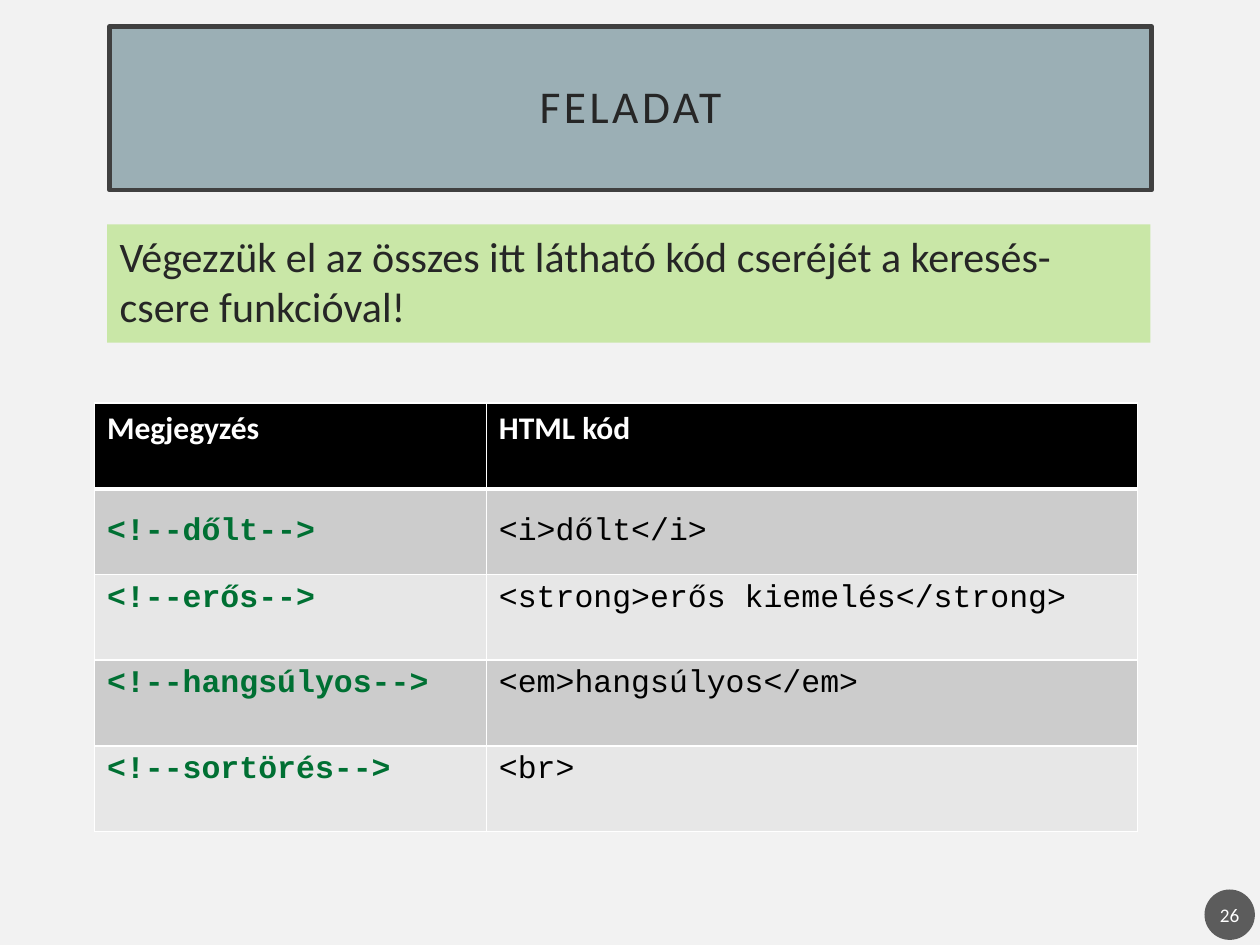
from lxml import etree
from pptx import Presentation
from pptx import util as u
from pptx.dml.color import RGBColor
from pptx.enum import shapes, text
from pptx.oxml.ns import qn

BACKGROUND = RGBColor(0xF2, 0xF2, 0xF2)
TITLE_FILL = RGBColor(0x9B, 0xAF, 0xB5)
TITLE_LINE = RGBColor(0x40, 0x40, 0x40)
INK = RGBColor(0x26, 0x26, 0x26)
TASK_FILL = RGBColor(0xC9, 0xE7, 0xA7)
BADGE_FILL = RGBColor(0x1D, 0x1D, 0x1D)
BLACK = RGBColor(0, 0, 0)
WHITE = RGBColor(0xFF, 0xFF, 0xFF)
CODE_GREEN = RGBColor(0x00, 0x70, 0x33)
BANDS = (RGBColor(0xCC, 0xCC, 0xCC), RGBColor(0xE7, 0xE7, 0xE7))

ROWS = [
    ("Megjegyzés", "HTML kód"),
    ("<!--dőlt-->", "<i>dőlt</i>"),
    ("<!--erős-->", "<strong>erős kiemelés</strong>"),
    ("<!--hangsúlyos-->", "<em>hangsúlyos</em>"),
    ("<!--sortörés-->", "<br>"),
]


class SlideBuilder:
    font = "Calibri"
    code_font = "Courier New"

    def __init__(self, prs):
        self.s = prs.slides.add_slide(prs.slide_layouts[1])
        self.s.background.fill.solid()
        self.s.background.fill.fore_color.rgb = BACKGROUND

    def place(self, sp, box, fill):
        sp.left, sp.top, sp.width, sp.height = (u.Inches(v) for v in box)
        sp.fill.solid()
        sp.fill.fore_color.rgb = fill

    def set_text(self, tf, words, size, color, bold=False, font=None, align=None):
        tf.text = words
        p = tf.paragraphs[0]
        p.alignment = align
        r = p.runs[0]
        r.font.name = font or self.font
        r.font.size = u.Pt(size)
        r.font.bold = bold
        r.font.color.rgb = color
        return p

    def title(self, words, box):
        sp = self.s.shapes.title
        self.place(sp, box, TITLE_FILL)
        sp.line.color.rgb = TITLE_LINE
        sp.line.width = u.Pt(2.5)
        tf = sp.text_frame
        tf.auto_size = text.MSO_AUTO_SIZE.NONE
        tf.vertical_anchor = text.MSO_ANCHOR.MIDDLE
        tf.margin_left = tf.margin_right = u.Inches(0.2)
        tf.margin_top = tf.margin_bottom = u.Inches(0.2)
        p = self.set_text(tf, words, 26, INK, align=text.PP_ALIGN.CENTER)
        p.line_spacing = 0.9
        p.runs[0]._r.get_or_add_rPr().set("spc", "200")

    def body(self, words, box):
        sp = self.s.placeholders[1]
        self.place(sp, box, TASK_FILL)
        tf = sp.text_frame
        tf.auto_size = text.MSO_AUTO_SIZE.NONE
        p = self.set_text(tf, words, 24, INK, align=text.PP_ALIGN.LEFT)
        p.space_before = u.Pt(10)
        # No bullet and no hanging indent
        pPr = p._p.get_or_add_pPr()
        pPr.set("marL", "0")
        pPr.set("indent", "0")
        etree.SubElement(pPr, qn("a:buNone"))

    def badge(self, words, box):
        sp = self.s.shapes.add_shape(
            shapes.MSO_SHAPE.OVAL, *(u.Inches(v) for v in box))
        self.place(sp, box, BADGE_FILL)
        sp.shadow.inherit = False
        sp.line.fill.background()
        color = sp._element.spPr.find(qn("a:solidFill"))[0]
        etree.SubElement(color, qn("a:alpha"), val="70000")
        tf = sp.text_frame
        tf.margin_left = tf.margin_right = u.Inches(0.02)
        tf.vertical_anchor = text.MSO_ANCHOR.MIDDLE
        self.set_text(tf, words, 11, WHITE, align=text.PP_ALIGN.CENTER)

    def borders(self, cell, widths):
        tcPr = cell._tc.get_or_add_tcPr()
        for i, (side, width) in enumerate(widths.items()):
            ln = etree.Element(qn(f"a:ln{side}"), w=str(u.Pt(width)))
            fill = etree.SubElement(ln, qn("a:solidFill"))
            etree.SubElement(fill, qn("a:srgbClr"), val=str(WHITE))
            tcPr.insert(i, ln)

    def table(self, rows, left, top, col_widths, row_height):
        table = self.s.shapes.add_table(
            len(rows), len(col_widths), u.Inches(left), u.Inches(top),
            u.Inches(sum(col_widths)), u.Inches(row_height * len(rows))).table
        for col, width in zip(table.columns, col_widths):
            col.width = u.Inches(width)
        for i, row in enumerate(rows):
            table.rows[i].height = u.Inches(row_height)
            for j, words in enumerate(row):
                cell = table.cell(i, j)
                header, comment = i == 0, j == 0
                cell.fill.solid()
                cell.fill.fore_color.rgb = BLACK if header else BANDS[(i - 1) % 2]
                color = WHITE if header else CODE_GREEN if comment else BLACK
                self.set_text(cell.text_frame, words, 18, color,
                              bold=header or comment,
                              font=self.font if header else self.code_font)
                if i == 1:
                    cell.vertical_anchor = text.MSO_ANCHOR.MIDDLE
                self.borders(cell, {"L": 1, "R": 1, "T": 3 if i == 1 else 1,
                                    "B": 3 if header else 1})


def main():
    prs = Presentation()
    prs.slide_width, prs.slide_height = u.Inches(10), u.Inches(7.5)
    slide = SlideBuilder(prs)

    # Heading and task
    slide.title("FELADAT", (0.87, 0.21, 8.27, 1.3))
    slide.body("Végezzük el az összes itt látható kód cseréjét "
               "a keresés-csere funkcióval!", (0.85, 1.78, 8.28, 0.94))

    # Slide number
    slide.badge("26", (9.56, 7.06, 0.4, 0.4))

    # Replacement codes
    slide.table(ROWS, 0.75, 3.2, (3.11, 5.17), 0.68)

    prs.save("out.pptx")


if __name__ == "__main__":
    main()
